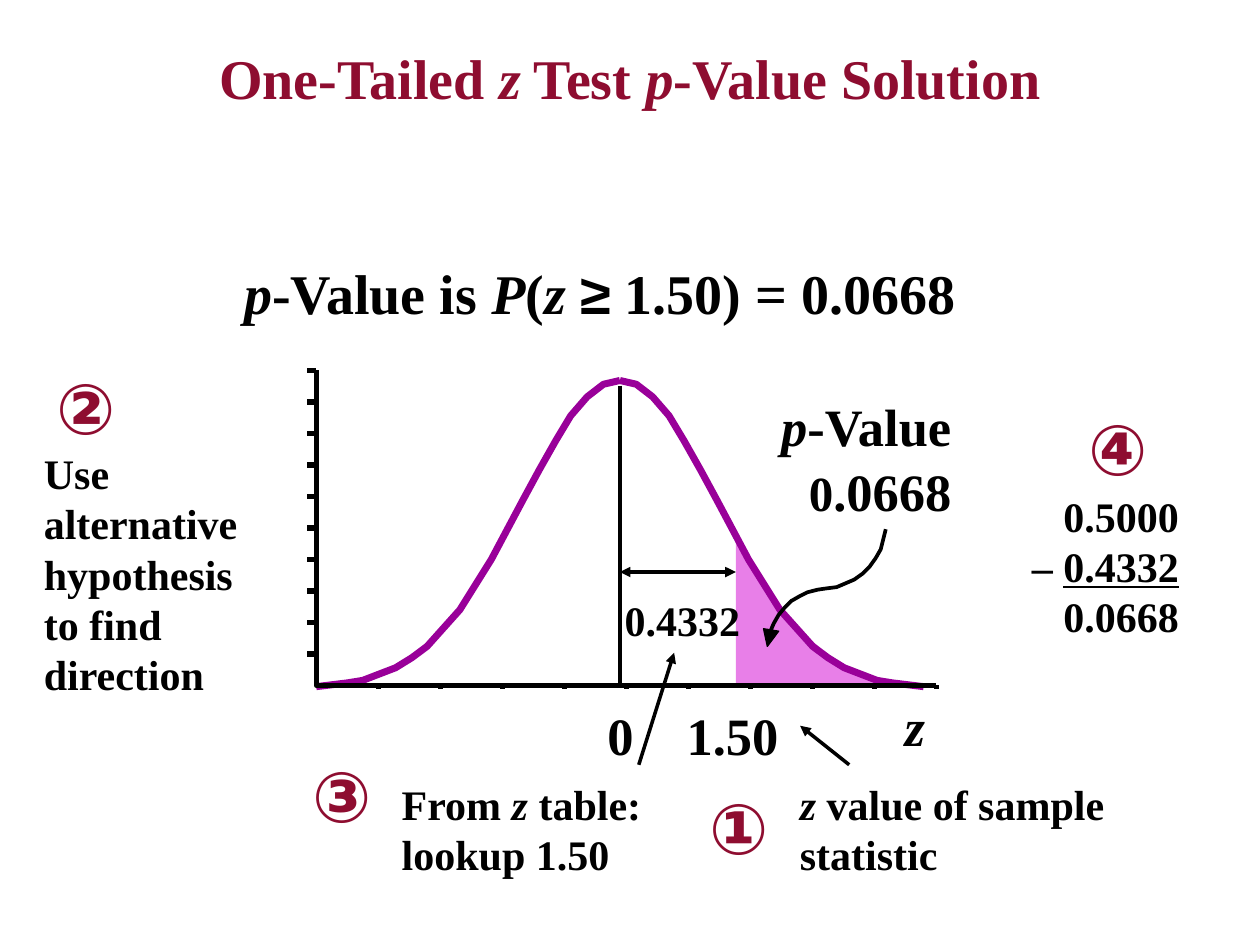
from dataclasses import dataclass

from lxml.etree import SubElement
from pptx import Presentation
from pptx.dml.color import RGBColor
from pptx.enum.shapes import MSO_CONNECTOR as Link
from pptx.enum.text import MSO_ANCHOR as Anchor, PP_ALIGN as Align
from pptx.oxml.ns import qn
from pptx.util import Inches, Pt

SERIF, SANS = "Times New Roman", "Arial"
BLACK, WINE, PURPLE, PINK = "000000", "8E0D30", "990099", "D200D2"
LEFT, MEAN, RIGHT = 2.51, 4.92, 7.43
TOP, BASE, CUT = 2.94, 5.44, 5.84

Point = tuple[float, float]


@dataclass
class Label:
    """Text in a box; parts between asterisks are italic."""
    text: str
    box: tuple[float, float, float, float]
    size: int = 24
    font: str = SERIF
    color: str = BLACK
    align: Align = Align.LEFT
    inset: float = 0.1
    wrap: bool = True


@dataclass
class Line:
    start: Point
    end: Point
    width: float = 2
    heads: tuple[str, ...] = ()


def tight(text: str, *box: float) -> Label:
    return Label(text, box, 30, inset=0, wrap=False)


def badge(text: str, x: float, y: float) -> Label:
    return Label(text, (x, y, 0.75, 0.76), 40, SANS, WINE, Align.CENTER)


LABELS = [
    tight("*p*-Value", 6.2, 3.13, 1.39, 0.5),
    Label("*z* value of sample statistic", (6.25, 6.13, 3.41, 0.9)),
    Label("From *z* table: lookup 1.50", (3.09, 6.13, 2.33, 0.9)),
    Label("Use alternative hypothesis to find direction", (0.25, 3.5, 2, 2.09)),
    badge("①", 5.49, 6.18),
    badge("②", 0.31, 2.84),
    badge("③", 2.34, 5.92),
    badge("④", 8.5, 3.17),
    tight("*z*", 7.18, 5.51, 0.16, 0.5),
    tight("0", 4.82, 5.58, 0.21, 0.5),
    tight("1.50", 5.45, 5.58, 0.73, 0.5),
]

ARROWS = [
    Line((5.07, 6.07), (5.35, 5.18), heads=("tailEnd",)),
    Line((6.74, 6.07), (6.35, 5.76), heads=("tailEnd",)),
    Line((MEAN, 4.54), (CUT, 4.54), heads=("headEnd", "tailEnd")),
]

# Half of the bell: distance from the mean, height on the slide
BELL = [(0, 3.02), (0.13, 3.05), (0.26, 3.15), (0.39, 3.3), (0.51, 3.5),
        (0.64, 3.73), (0.77, 3.97), (1.02, 4.44), (1.27, 4.84), (1.53, 5.13),
        (1.65, 5.22), (1.78, 5.3), (1.91, 5.35), (2.04, 5.4), (2.16, 5.42),
        (2.41, 5.45)]
TAIL = [(CUT, 4.22), (CUT, 5.42), (6.98, 5.42), (6.84, 5.36), (6.71, 5.28),
        (6.58, 5.2), (6.46, 5.1), (6.35, 5), (6.24, 4.89), (6.14, 4.77),
        (6.05, 4.64), (5.97, 4.51), (5.9, 4.36)]
SWOOP = [(7.03, 4.2), (7.01, 4.28), (6.99, 4.36), (6.95, 4.43), (6.9, 4.5),
         (6.85, 4.55), (6.78, 4.6), (6.71, 4.63), (6.64, 4.66), (6.56, 4.67),
         (6.49, 4.68), (6.41, 4.7), (6.35, 4.73), (6.28, 4.77), (6.23, 4.82),
         (6.18, 4.88), (6.14, 4.95), (6.11, 5.02)]
TIP = [(6.18, 5.01), (6.09, 5.13), (6.06, 4.99)]


def rgb(color: str) -> RGBColor:
    return RGBColor.from_string(color)


def style(par, size: int, font: str, color: str, align: Align) -> None:
    par.alignment = align
    face = par.font
    face.size, face.name, face.bold = Pt(size), font, True
    face.color.rgb = rgb(color)


def write(par, text: str) -> None:
    for num, part in enumerate(text.split("*")):
        if part:
            run = par.add_run()
            run.text = part
            if num % 2:
                run.font.italic = True


def add_label(shapes, label: Label):
    box = shapes.add_textbox(*map(Inches, label.box))
    frame = box.text_frame
    frame.word_wrap = label.wrap
    frame.margin_left = frame.margin_right = Inches(label.inset)
    frame.margin_top = frame.margin_bottom = Inches(label.inset / 2)
    par = frame.paragraphs[0]
    style(par, label.size, label.font, label.color, label.align)
    write(par, label.text)
    return par


def add_line(shapes, line: Line) -> None:
    ends = map(Inches, (*line.start, *line.end))
    link = shapes.add_connector(Link.STRAIGHT, *ends)
    link.line.width = Pt(line.width)
    link.line.color.rgb = rgb(BLACK)
    for head in line.heads:
        SubElement(link.line._get_or_add_ln(), qn(f"a:{head}"), type="triangle")
    SubElement(link._element.spPr, qn("a:effectLst"))


def add_path(shapes, points: list[Point], width: float = 0, color: str = BLACK,
             fill: str = "", alpha: int = 100) -> None:
    """Draw a path, closed when it has a fill and unlined at zero width."""
    first, *rest = [(Inches(x), Inches(y)) for x, y in points]
    pen = shapes.build_freeform(*first)
    pen.add_line_segments(rest, close=bool(fill))
    shape = pen.convert_to_shape()
    shape.shadow.inherit = False
    if fill:
        shape.fill.solid()
        shape.fill.fore_color.rgb = rgb(fill)
        tint = shape._element.spPr.find(".//" + qn("a:srgbClr"))
        SubElement(tint, qn("a:alpha"), val=str(alpha * 1000))
    else:
        shape.fill.background()
    if width:
        shape.line.width = Pt(width)
        shape.line.color.rgb = rgb(color)
    else:
        shape.line.fill.background()


def add_title(shapes) -> None:
    title = shapes.title
    title.left, title.top, title.width, title.height = map(
        Inches, (0.5, 0.3, 9, 0.62))
    title.text_frame.vertical_anchor = Anchor.MIDDLE
    par = title.text_frame.paragraphs[0]
    style(par, 32, SERIF, WINE, Align.CENTER)
    write(par, "One-Tailed *z* Test *p*-Value Solution")


def add_sum(shapes) -> None:
    par = add_label(shapes, Label("\t0.5000", (8.09, 3.84, 1.58, 1.31)))
    tabs = SubElement(par._p.get_or_add_pPr(), qn("a:tabLst"))
    tabs.getparent().insert(0, tabs)
    SubElement(tabs, qn("a:tab"), pos=str(Inches(0.25)), algn="l")
    par.add_line_break()
    write(par, "–\t")
    write(par, "0.4332")
    par.runs[-1].font.underline = True
    par.add_line_break()
    write(par, "\t0.0668")


def add_graph(shapes) -> None:
    add_path(shapes, TAIL, fill=PINK, alpha=50)
    add_path(shapes, TIP, 0.75, fill=BLACK)
    add_line(shapes, Line((MEAN, 3.06), (MEAN, 5.46), 2.13))
    for side in (1, -1):
        add_path(shapes, [(MEAN + side * x, y) for x, y in BELL], 4, PURPLE)
    add_path(shapes, [(LEFT, TOP), (LEFT, BASE), (RIGHT, BASE)], 3)
    step = (RIGHT - LEFT) / 10
    for num in range(10):
        y, x = TOP + 0.25 * num, RIGHT - step * num
        add_line(shapes, Line((LEFT - 0.07, y), (LEFT, y), 3))
        add_line(shapes, Line((x, BASE), (x, BASE + 0.03), 3))
    add_path(shapes, SWOOP, 2.13)


def main() -> None:
    deck = Presentation()
    deck.slide_width, deck.slide_height = Inches(10), Inches(7.5)
    shapes = deck.slides.add_slide(deck.slide_layouts[5]).shapes
    add_title(shapes)
    add_graph(shapes)
    for arrow in ARROWS:
        add_line(shapes, arrow)
    for label in LABELS:
        add_label(shapes, label)
    add_sum(shapes)
    add_label(shapes, Label("0.4332", (4.86, 4.67, 1.13, 0.5), wrap=False))
    value = add_label(shapes, tight("0**.0668", 6.42, 3.64, 1.14, 0.5))
    value.runs[0].font.size = Pt(28)
    result = add_label(shapes, Label(
        "*p*-Value is *P*(*z *≥** 1.50) = 0.0668", (1.84, 2, 7.16, 0.64), 32))
    next(run for run in result.runs if run.text == "≥").font.name = SANS
    deck.save("out.pptx")


if __name__ == "__main__":
    main()
